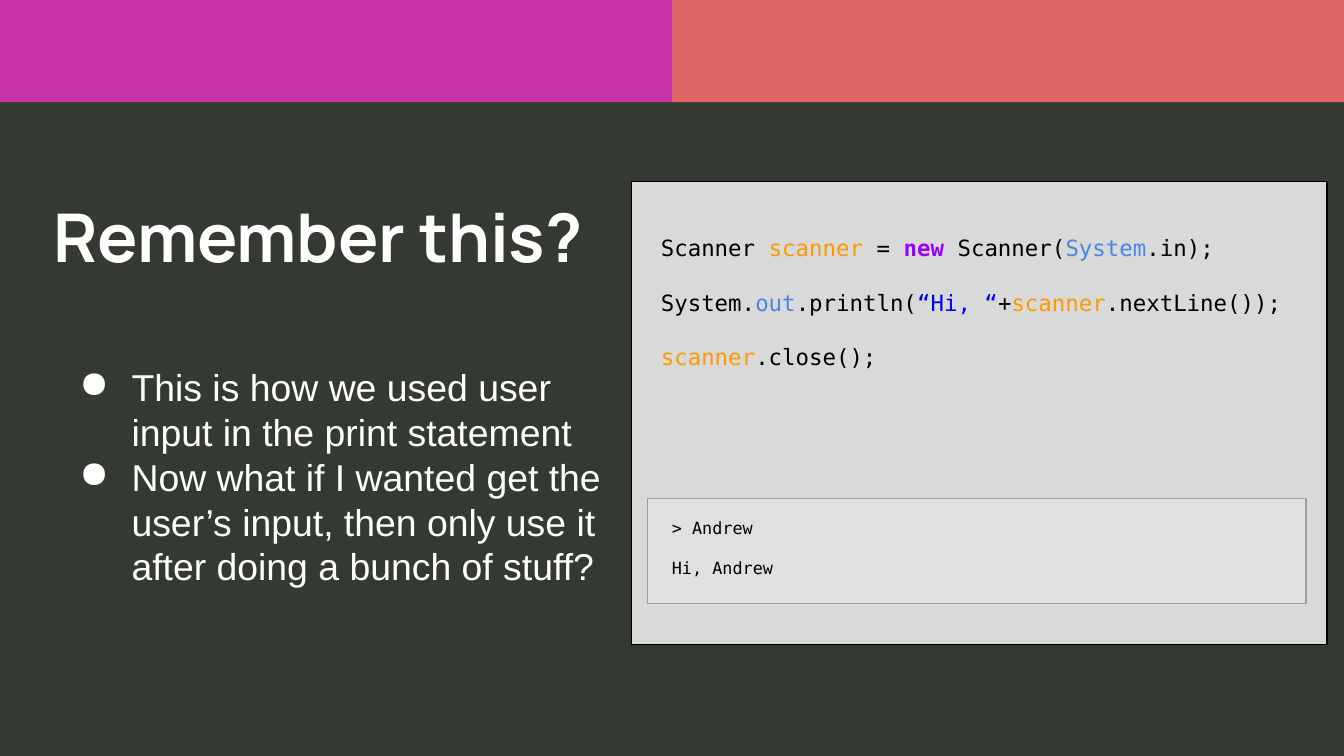
from dataclasses import dataclass

import pptx
import pptx.dml.color
import pptx.enum.shapes
import pptx.enum.text
import pptx.oxml
import pptx.oxml.ns
import pptx.util
from lxml import etree

Pt = pptx.util.Pt
Anchor = pptx.enum.text.MSO_ANCHOR
Align = pptx.enum.text.PP_ALIGN


@dataclass(frozen=True)
class Theme:
    ground: str = "343A31"
    magenta: str = "D434B1"
    coral: str = "E06666"
    panel: str = "D9D9D9"
    console: str = "E0E0E0"
    console_edge: str = "9E9E9E"
    white: str = "FFFFFF"
    black: str = "000000"
    variable: str = "FF9900"
    keyword: str = "9900FF"
    member: str = "4A86E8"
    string: str = "0000FF"
    title_font: str = "Manrope"
    body_font: str = "Arial"
    code_font: str = "DejaVu Sans Mono"
    title_size: float = 36
    body_size: float = 20
    code_size: float = 12
    console_size: float = 9


@dataclass(frozen=True)
class Area:
    left: float
    top: float
    width: float
    height: float

    def lengths(self) -> list:
        return [Pt(n) for n in (self.left, self.top, self.width, self.height)]


@dataclass(frozen=True)
class Panel:
    area: Area
    fill: str
    edge: str | None = None
    opacity: int = 100


@dataclass(frozen=True)
class Span:
    text: str
    color: str
    bold: bool = False


THEME = Theme()
WIDTH, HEIGHT, BAND = 720, 405, 54.72


def rgb(color: str) -> pptx.dml.color.RGBColor:
    return pptx.dml.color.RGBColor.from_string(color)


def draw_panel(page, panel: Panel) -> None:
    box = page.shapes.add_shape(
        pptx.enum.shapes.MSO_SHAPE.RECTANGLE, *panel.area.lengths())
    box.shadow.inherit = False
    box.fill.solid()
    box.fill.fore_color.rgb = rgb(panel.fill)
    if panel.opacity < 100:
        color = box.fill._xPr.find(".//" + pptx.oxml.ns.qn("a:srgbClr"))
        etree.SubElement(color, pptx.oxml.ns.qn("a:alpha"),
                         val=str(panel.opacity * 1000))
    if panel.edge:
        box.line.color.rgb = rgb(panel.edge)
        box.line.width = Pt(0.75)
    else:
        box.line.fill.background()


def add_bullet(para, color: str, indent: float, hanging: float) -> None:
    properties = para._p.get_or_add_pPr()
    properties.set("marL", str(Pt(indent)))
    properties.set("indent", str(-Pt(hanging)))
    bullet_color = etree.SubElement(properties, pptx.oxml.ns.qn("a:buClr"))
    etree.SubElement(bullet_color, pptx.oxml.ns.qn("a:srgbClr"), val=color)
    etree.SubElement(properties, pptx.oxml.ns.qn("a:buChar"), char="●")


def draw_text(page, area: Area, lines: list[list[Span]], *, font: str, size: float,
              anchor=Anchor.TOP, gap: float = 0, spacing: float | None = None,
              bullets: bool = False) -> None:
    """Draw one paragraph for each line of spans."""
    frame = page.shapes.add_textbox(*area.lengths()).text_frame
    frame.word_wrap = True
    frame.vertical_anchor = anchor
    frame.margin_left = frame.margin_right = Pt(7.2)
    frame.margin_top = frame.margin_bottom = Pt(7.2)
    for number, line in enumerate(lines):
        para = frame.add_paragraph() if number else frame.paragraphs[0]
        para.alignment = Align.LEFT
        if number:
            para.space_before = Pt(gap)
        if spacing:
            para.line_spacing = Pt(spacing)
        if bullets:
            add_bullet(para, line[0].color, indent=36, hanging=28)
        for span in line:
            run = para.add_run()
            run.text = span.text
            run.font.name = font
            run.font.size = Pt(size)
            run.font.bold = span.bold
            run.font.color.rgb = rgb(span.color)


def plain(text: str) -> Span:
    return Span(text, THEME.black)


def variable(text: str) -> Span:
    return Span(text, THEME.variable)


def member(text: str) -> Span:
    return Span(text, THEME.member)


def main() -> None:
    deck = pptx.Presentation()
    deck.slide_width, deck.slide_height = Pt(WIDTH), Pt(HEIGHT)
    page = deck.slides.add_slide(deck.slide_layouts[6])

    # Ground, top bands, code panel and console
    for panel in (
        Panel(Area(0, 0, WIDTH, HEIGHT), THEME.ground),
        Panel(Area(0, 0, WIDTH / 2, BAND), THEME.magenta, opacity=93),
        Panel(Area(WIDTH / 2, 0, WIDTH / 2, BAND), THEME.coral),
        Panel(Area(338.4, 97.2, 372.6, 248.2), THEME.panel, THEME.black),
        Panel(Area(347, 267.2, 352.8, 56.2), THEME.console, THEME.console_edge),
    ):
        draw_panel(page, panel)

    # Title
    draw_text(page, Area(21.6, 58.3, 381.6, 136),
              [[Span("Remember this?", THEME.white, bold=True)]],
              font=THEME.title_font, size=THEME.title_size, anchor=Anchor.MIDDLE)

    # Code
    code = [
        [plain("Scanner "), variable("scanner "), plain("= "),
         Span("new", THEME.keyword, bold=True), plain(" Scanner("),
         member("System"), plain(".in);")],
        [plain("System."), member("out"), plain(".println("),
         Span("“Hi, “", THEME.string), plain("+"), variable("scanner"),
         plain(".nextLine());")],
        [variable("scanner"), plain(".close();")],
    ]
    draw_text(page, Area(347, 118.1, 357.8, 109.4), code,
              font=THEME.code_font, size=THEME.code_size, gap=15)

    # Console output
    draw_text(page, Area(352.8, 270, 272.2, 53.3),
              [[plain("> Andrew")], [plain("Hi, Andrew")]],
              font=THEME.code_font, size=THEME.console_size, gap=11)

    # Talking points
    points = (
        "This is how we used user input in the print statement",
        "Now what if I wanted get the user’s input, then only use it "
        "after doing a bunch of stuff?",
    )
    draw_text(page, Area(27.4, 188, 319, 200.9),
              [[Span(point, THEME.white)] for point in points],
              font=THEME.body_font, size=THEME.body_size, spacing=24, bullets=True)

    deck.save("out.pptx")


if __name__ == "__main__":
    main()
